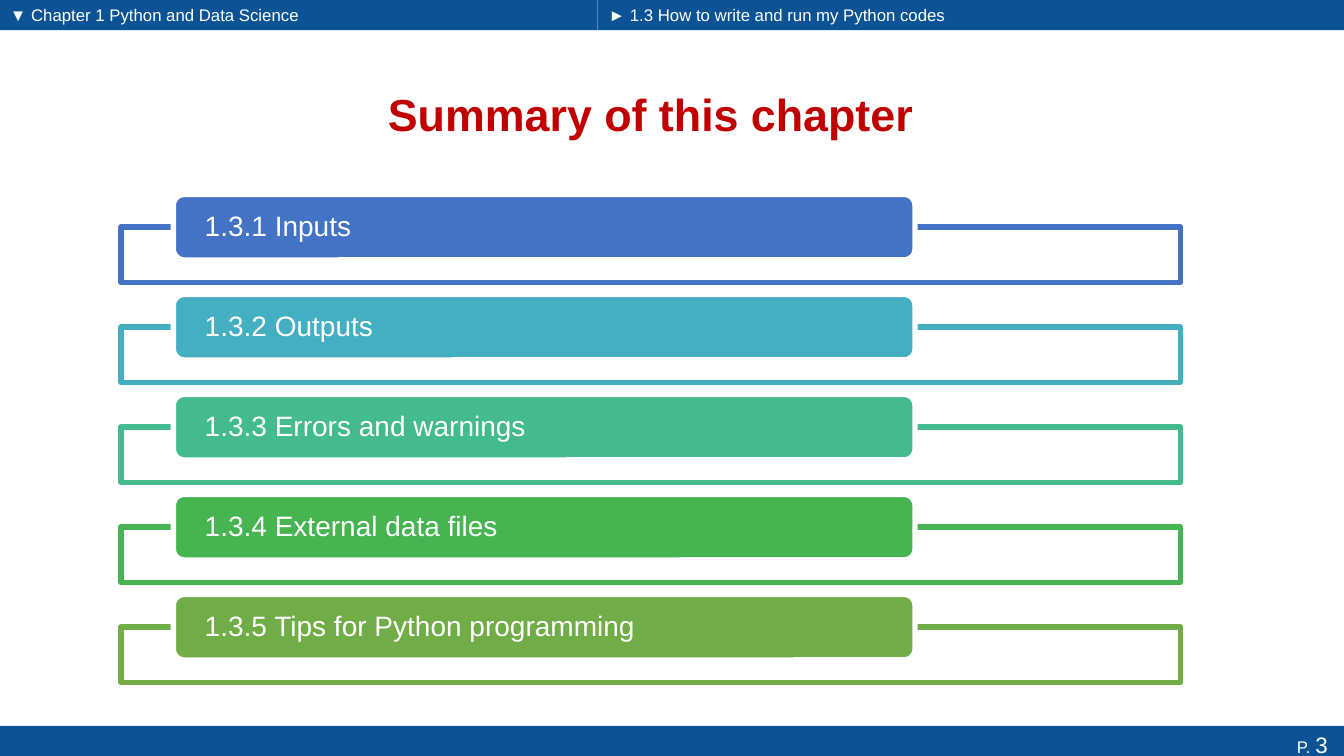
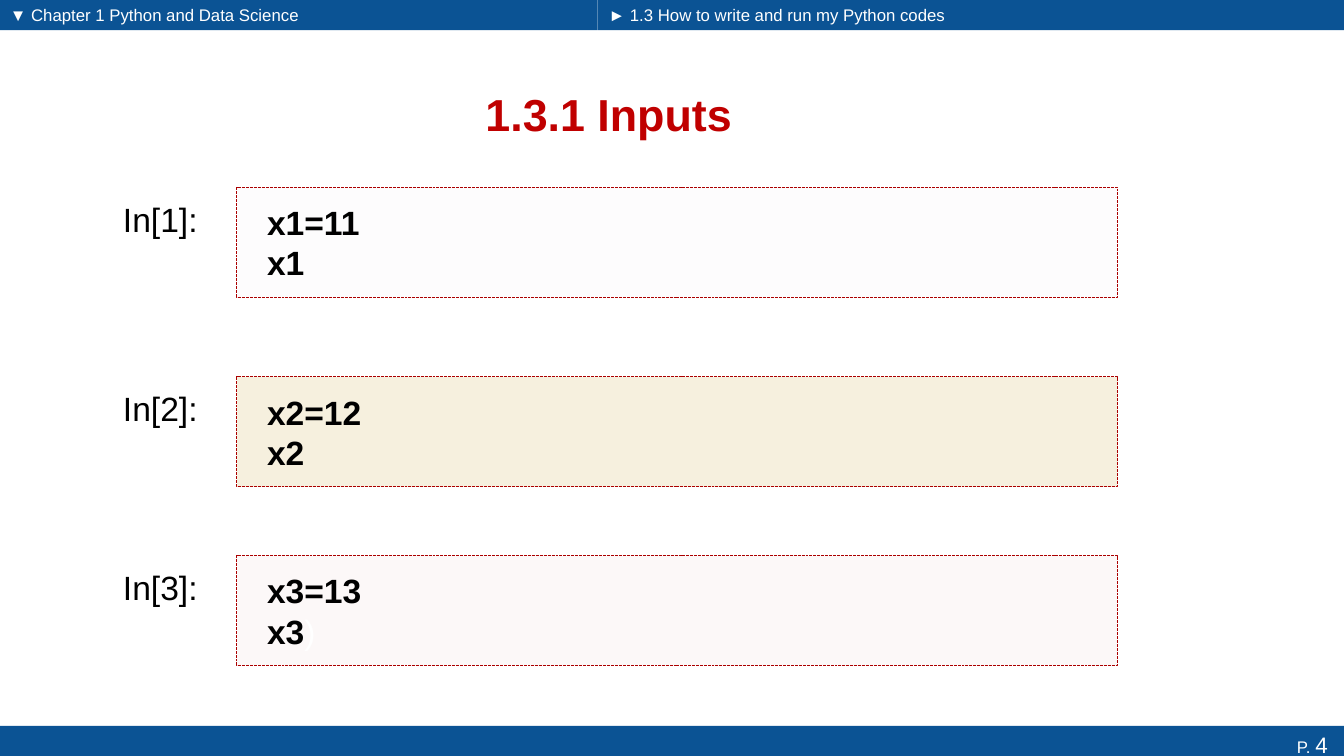
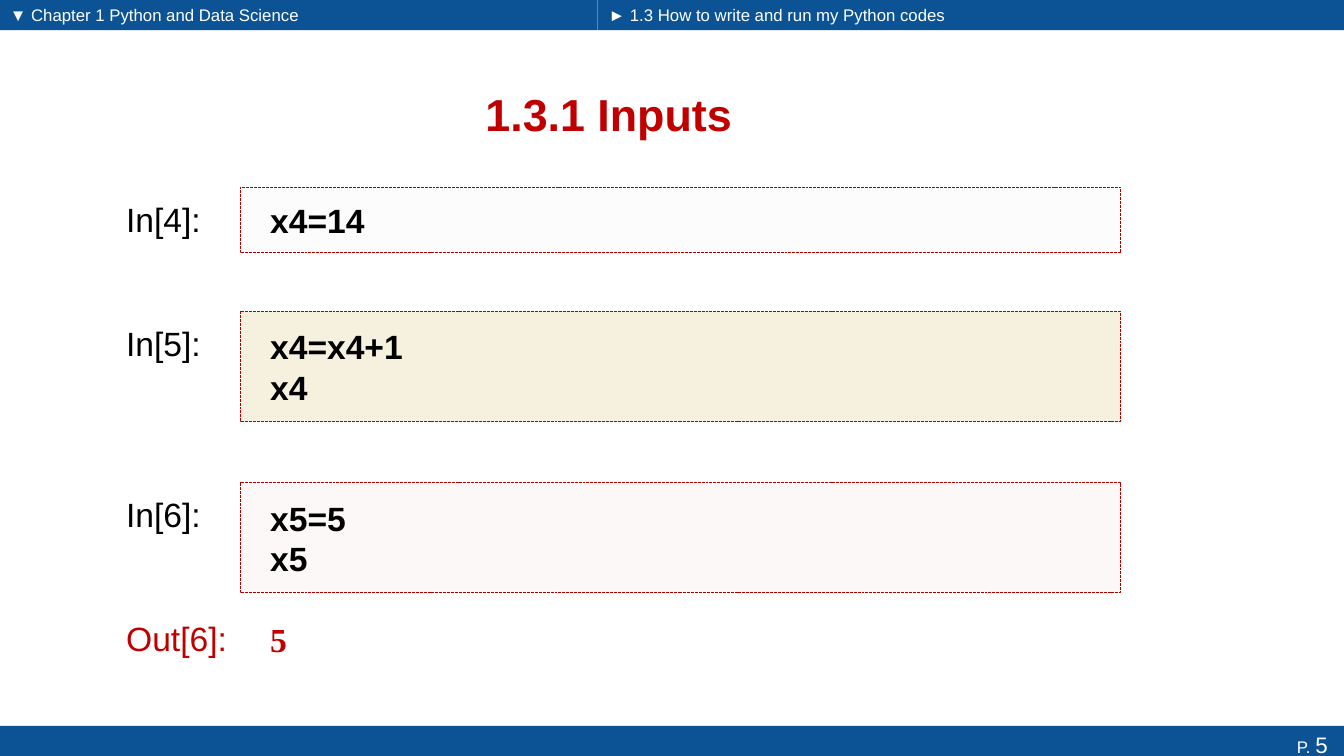
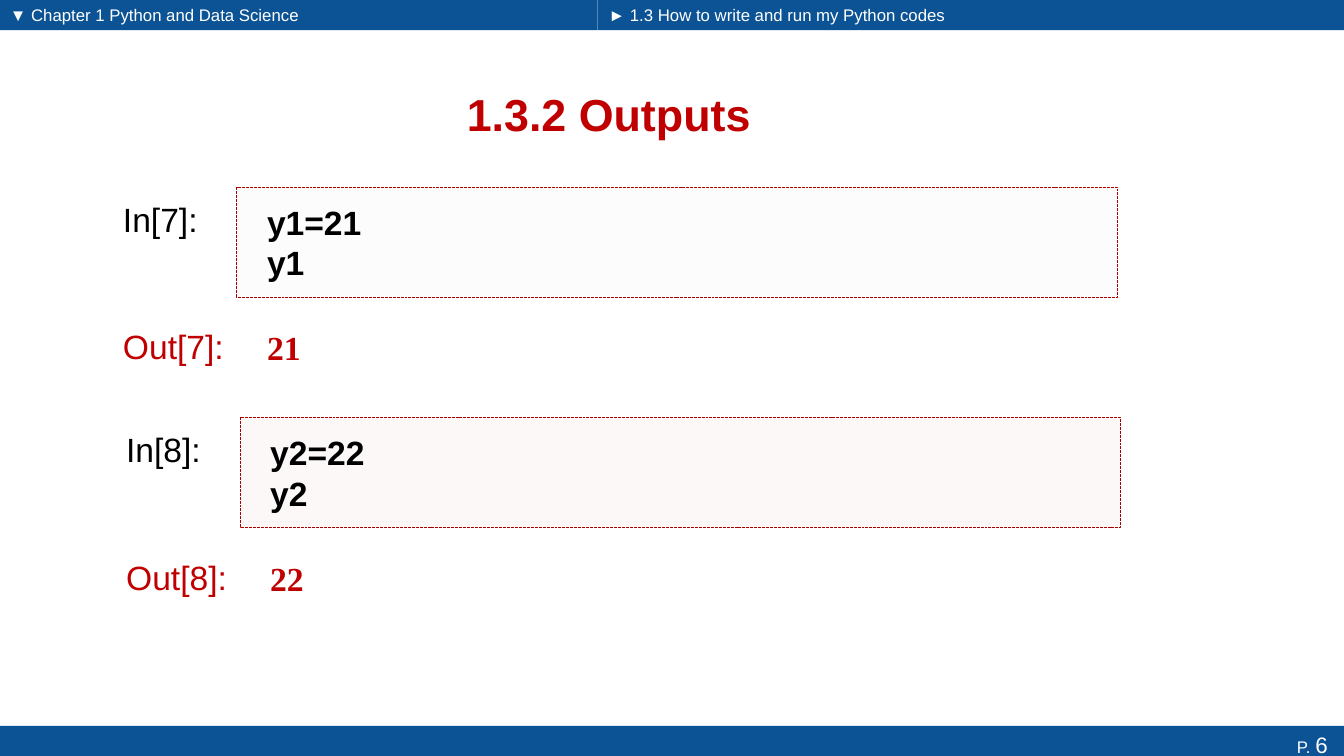
from pptx import Presentation
from pptx.dml.color import RGBColor
from pptx.enum.dml import MSO_LINE
from pptx.enum.shapes import MSO_SHAPE as Kind
from pptx.enum.text import MSO_ANCHOR as Anchor, PP_ALIGN as Align
from pptx.oxml.ns import qn
from pptx.util import Cm, Pt
from lxml.etree import SubElement

WHITE = RGBColor(0xFF, 0xFF, 0xFF)
BLACK = RGBColor(0, 0, 0)
NAVY = RGBColor(0x0B, 0x53, 0x94)
RED = RGBColor(0xC0, 0, 0)
MAROON = RGBColor(0xAB, 0, 0)
GRAY = RGBColor(0xF1, 0xEE, 0xF4)
GOLD = RGBColor(0xBF, 0x90, 0)
PINK = RGBColor(0xED, 0xCD, 0xCB)
BLUE = RGBColor(0x44, 0x72, 0xC4)
TEAL = RGBColor(0x43, 0xAF, 0xC0)
MINT = RGBColor(0x43, 0xBB, 0x8D)
GREEN = RGBColor(0x45, 0xB4, 0x51)
OLIVE = RGBColor(0x70, 0xAD, 0x47)

WIDE, HIGH = 33.87, 19.05
BAND = 0.76
SPLIT = 15.06


def box(slide, kind, x, y, w, h, fill=None, line=None, weight=0):
    place = Cm(x), Cm(y), Cm(w), Cm(h)
    if kind is None:
        shape = slide.shapes.add_textbox(*place)
    else:
        shape = slide.shapes.add_shape(kind, *place)
        shape.shadow.inherit = False
        shape.fill.solid()
        shape.fill.fore_color.rgb = fill
        if line is None:
            shape.line.fill.background()
        else:
            shape.line.color.rgb = line
            shape.line.width = Pt(weight)
    frame = shape.text_frame
    frame.word_wrap = True
    frame.paragraphs[0].alignment = Align.LEFT
    return shape


def write(par, text, size, color, bold=False, font="Arial"):
    run = par.add_run()
    run.text = text
    run.font.name = font
    run.font.size = Pt(size)
    run.font.bold = bold
    run.font.color.rgb = color


HEADS = [
    (0, 12.27, "▼ Chapter 1 Python and Data Science"),
    (15.09, 9.45, "► 1.3 How to write and run my Python codes"),
]
TOPICS = [
    ("1.3.1 Inputs", BLUE),
    ("1.3.2 Outputs", TEAL),
    ("1.3.3 Errors and warnings", MINT),
    ("1.3.4 External data files", GREEN),
    ("1.3.5 Tips for Python programming", OLIVE),
]
PAGES = [
    ("Summary of this chapter", 6.38, 20.04, []),
    ("1.3.1 Inputs", 1.73, 27.23, [
        ("In[1]:", 5.97, 4.72, ["x1=11", "x1"], GRAY),
        ("In[2]:", 5.97, 9.5, ["x2=12", "x2"], GOLD),
        ("In[3]:", 5.97, 14, ["x3=13", "x3)"], PINK),
    ]),
    ("1.3.1 Inputs", 1.73, 27.23, [
        ("In[4]:", 6.05, 4.72, ["x4=14"], GRAY),
        ("In[5]:", 6.05, 7.85, ["x4=x4+1", "x4"], GOLD),
        ("In[6]:", 6.05, 12.17, ["x5=5", "x5"], PINK),
        ("Out[6]:", 6.05, 15.29, ["5"], None),
    ]),
    ("1.3.2 Outputs", 1.73, 27.23, [
        ("In[7]:", 5.97, 4.72, ["y1=21", "y1"], GRAY),
        ("Out[7]:", 5.97, 7.92, ["21"], None),
        ("In[8]:", 6.05, 10.52, ["y2=22", "y2"], PINK),
        ("Out[8]:", 6.05, 13.74, ["22"], None),
    ]),
]

deck = Presentation()
deck.slide_width = Cm(WIDE)
deck.slide_height = Cm(HIGH)

for page, (title, left, width, cells) in enumerate(PAGES, 3):
    slide = deck.slides.add_slide(deck.slide_layouts[6])

    box(slide, Kind.RECTANGLE, 0, 0, SPLIT, BAND, NAVY)
    box(slide, Kind.RECTANGLE, SPLIT + 0.01, 0, WIDE - SPLIT - 0.01, BAND, NAVY)
    foot = box(slide, Kind.RECTANGLE, 0, HIGH - BAND, WIDE, BAND, NAVY).text_frame
    foot.vertical_anchor = Anchor.TOP
    foot.margin_right = Cm(0.41)
    par = foot.paragraphs[0]
    par.alignment = Align.RIGHT
    write(par, "P. ", 12, WHITE)
    write(par, str(page), 16, WHITE)

    for x, w, text in HEADS:
        head = box(slide, None, x, 0, w, 0.74)
        write(head.text_frame.paragraphs[0], text, 12, WHITE)

    frame = box(slide, None, left, 1.73, width, 2.29).text_frame
    frame.vertical_anchor = Anchor.MIDDLE
    frame.paragraphs[0].alignment = Align.CENTER
    write(frame.paragraphs[0], title, 32, RED, True)

    for label, x, y, lines, tint in cells:
        ink = BLACK if tint else RED
        tag = box(slide, None, x - 3.12, y + 0.16, 2.82 if tint else 3.43, 1.27)
        write(tag.text_frame.paragraphs[0], label, 24, ink)

        kind = Kind.RECTANGLE if tint else None
        code = box(slide, kind, x, y, 22.2, 0.53 + 1.12 * len(lines), tint, MAROON, 0.7)
        if tint:
            code.line.dash_style = MSO_LINE.SQUARE_DOT
            color = code.fill._xPr.find(qn("a:solidFill"))[0]
            SubElement(color, qn("a:alpha")).set("val", "13000")
        frame = code.text_frame
        frame.vertical_anchor = Anchor.MIDDLE
        frame.margin_left = Cm(0.76)
        for i, text in enumerate(lines):
            par = frame.add_paragraph() if i else frame.paragraphs[0]
            par.alignment = Align.LEFT
            word, mark, rest = text.partition(")")
            write(par, word, 24, ink, True, "Arial" if tint else "Times New Roman")
            if mark:
                write(par, mark, 24, WHITE)

for i, (text, color) in enumerate(TOPICS):
    slide = deck.slides[0]
    y = 4.9 + 2.52 * i
    box(slide, Kind.RECTANGLE, 3.05, y + 0.82, 26.7, 1.4, WHITE, color, 3.78)
    bar = box(slide, Kind.ROUNDED_RECTANGLE, 4.37, y, 18.69, 1.65, color, WHITE, 3.78)
    frame = bar.text_frame
    frame.vertical_anchor = Anchor.MIDDLE
    frame.margin_left = frame.margin_right = Cm(0.71)
    frame.margin_top = frame.margin_bottom = 0
    frame.paragraphs[0].line_spacing = 0.9
    write(frame.paragraphs[0], text, 20, WHITE)

deck.save("out.pptx")
